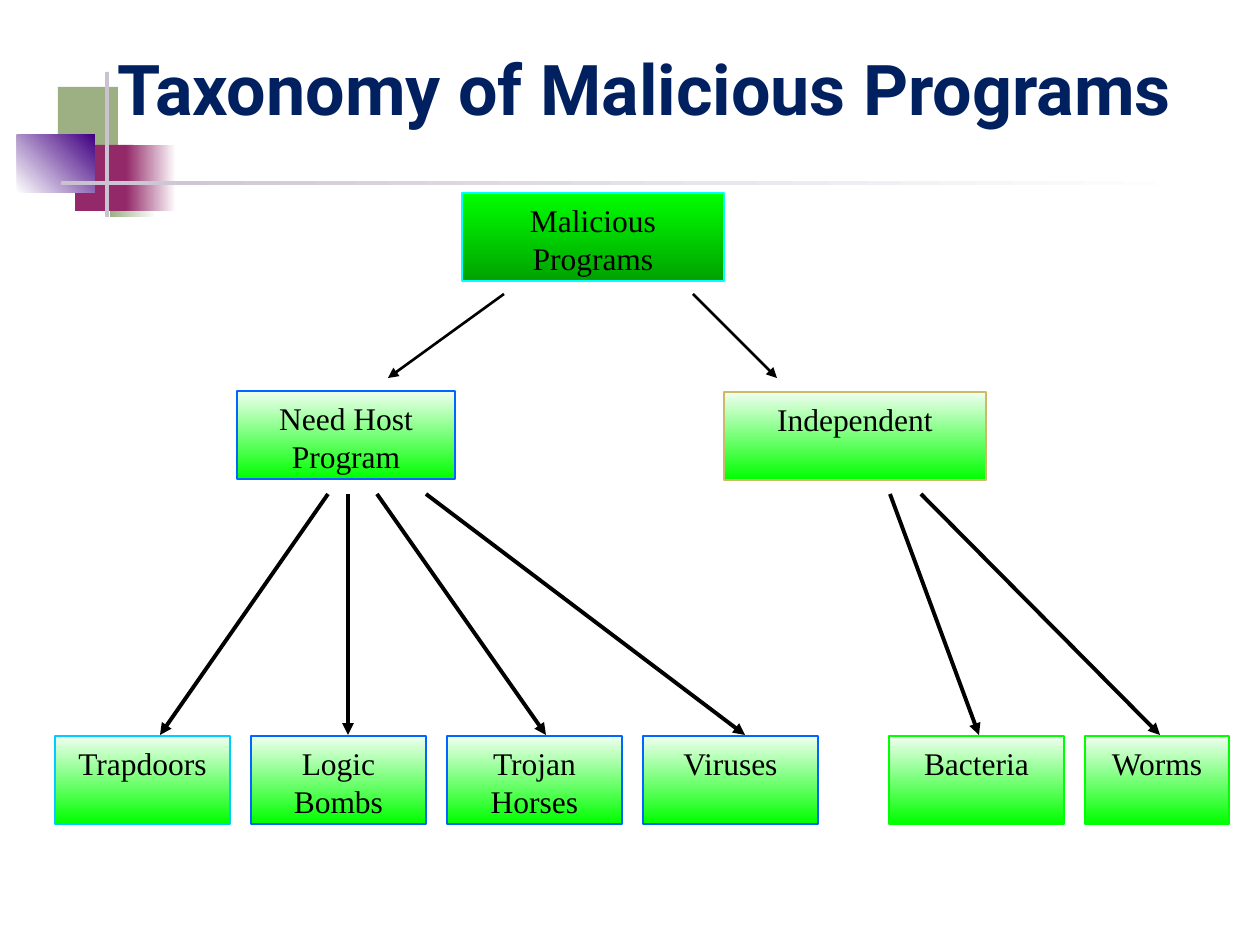
from dataclasses import dataclass

from lxml.etree import SubElement
from pptx import Presentation
from pptx.dml.color import RGBColor
from pptx.enum.shapes import MSO_CONNECTOR, MSO_SHAPE
from pptx.enum.text import MSO_ANCHOR, MSO_AUTO_SIZE, PP_ALIGN
from pptx.oxml.ns import qn
from pptx.slide import Slide
from pptx.util import Emu, Pt

PX_PER_INCH = 126


@dataclass(frozen=True)
class Theme:
    title_font: str = "Roboto"
    title_size: int = 40
    title_color: str = "002060"
    box_font: str = "Times New Roman"
    box_size: int = 18
    ink: str = "000000"
    white: str = "FFFFFF"
    sage: str = "9CB084"
    plum: str = "932968"
    violet: str = "410082"
    rule: str = "C9C2D1"
    mint: str = "F0FFF0"
    green: str = "00FF00"
    dark_green: str = "00A200"
    blue: str = "0066FF"
    sky: str = "00CCFF"
    cyan: str = "00FFFF"
    sand: str = "CEB966"


THEME = Theme()
BOX_FILL = (THEME.mint, THEME.green)


@dataclass(frozen=True)
class Block:
    """Decorative rectangle; two colours make a gradient."""
    x: int
    y: int
    w: int
    h: int
    colors: tuple[str, ...]
    angle: int = 0  # counter-clockwise degrees


@dataclass(frozen=True)
class Node:
    text: str
    x: int
    y: int
    w: int
    border: str
    colors: tuple[str, ...] = BOX_FILL
    h: int = 88


@dataclass(frozen=True)
class Arrow:
    x1: int
    y1: int
    x2: int
    y2: int
    width: float


def px(n: int) -> Emu:
    return Emu(round(n * 914400 / PX_PER_INCH))


def rgb(color: str) -> RGBColor:
    return RGBColor.from_string(color)


def add_block(s: Slide, b: Block):
    sp = s.shapes.add_shape(MSO_SHAPE.RECTANGLE, px(b.x), px(b.y), px(b.w), px(b.h))
    sp.shadow.inherit = False
    sp.line.fill.background()
    if len(b.colors) == 1:
        sp.fill.solid()
        sp.fill.fore_color.rgb = rgb(b.colors[0])
    else:
        sp.fill.gradient()
        sp.fill.gradient_angle = b.angle
        for stop, color, position in zip(sp.fill.gradient_stops, b.colors, (0, 1)):
            stop.color.rgb = rgb(color)
            stop.position = position
    return sp


def add_node(s: Slide, n: Node) -> None:
    sp = add_block(s, Block(n.x, n.y, n.w, n.h, n.colors, 270))
    sp.line.color.rgb = rgb(n.border)
    sp.line.width = Pt(1.5)
    tf = sp.text_frame
    tf.word_wrap = True
    tf.vertical_anchor = MSO_ANCHOR.TOP
    tf.margin_top = px(8)
    tf.text = n.text
    for p in tf.paragraphs:
        p.alignment = PP_ALIGN.CENTER
        p.font.name = THEME.box_font
        p.font.size = Pt(THEME.box_size)
        p.font.color.rgb = rgb(THEME.ink)


def add_arrow(s: Slide, a: Arrow) -> None:
    line = s.shapes.add_connector(
        MSO_CONNECTOR.STRAIGHT, px(a.x1), px(a.y1), px(a.x2), px(a.y2))
    line.line.color.rgb = rgb(THEME.ink)
    line.line.width = Pt(a.width)
    SubElement(line.line._get_or_add_ln(), qn("a:tailEnd"), type="triangle")
    SubElement(line._element.spPr, qn("a:effectLst"))


def set_title(s: Slide, text: str) -> None:
    sp = s.shapes.title
    sp.left, sp.top, sp.width, sp.height = px(105), px(42), px(1124), px(94)
    tf = sp.text_frame
    tf.text = text
    tf.word_wrap = True
    tf.auto_size = MSO_AUTO_SIZE.NONE
    tf.vertical_anchor = MSO_ANCHOR.BOTTOM
    p = tf.paragraphs[0]
    p.alignment = PP_ALIGN.LEFT
    p.font.name = THEME.title_font
    p.font.size = Pt(THEME.title_size)
    p.font.bold = True
    p.font.color.rgb = rgb(THEME.title_color)


# Corner ornament and title rule
ORNAMENT = [
    Block(58, 87, 60, 66, (THEME.sage,)),
    Block(110, 151, 46, 66, (THEME.sage, THEME.white)),
    Block(75, 145, 58, 66, (THEME.plum,)),
    Block(126, 145, 50, 66, (THEME.plum, THEME.white)),
    Block(17, 135, 78, 58, (THEME.white, THEME.violet), 45),
    Block(105, 72, 4, 145, (THEME.rule,)),
    Block(61, 181, 1134, 4, (THEME.rule, THEME.white)),
]

# Tree: root, two branches, and leaves on an even pitch
LEAF_TOP, LEAF_WIDTH, LEAF_PITCH = 736, 175, 196
HOST_LEAVES = [("Trapdoors", THEME.sky), ("Logic Bombs", THEME.blue),
               ("Trojan\nHorses", THEME.blue), ("Viruses", THEME.blue)]
NODES = [
    Node("Malicious Programs", 462, 193, 262, THEME.cyan,
         (THEME.green, THEME.dark_green)),
    Node("Need Host Program", 237, 391, 218, THEME.blue),
    Node("Independent", 724, 392, 262, THEME.sand),
    *(Node(text, 55 + i * LEAF_PITCH, LEAF_TOP, LEAF_WIDTH, border)
      for i, (text, border) in enumerate(HOST_LEAVES)),
    Node("Bacteria", 889, LEAF_TOP, LEAF_WIDTH, THEME.green),
    Node("Worms", 889 + LEAF_PITCH, LEAF_TOP, 144, THEME.green),
]

# Arrows as (start x, end x) for each level
ROOT_SPANS = [(504, 388), (693, 777)]
LEAF_SPANS = [(328, 160), (348, 348), (377, 546), (426, 745),
              (890, 979), (921, 1160)]
ARROWS = [
    *(Arrow(x1, 494, x2, 735, 2.25) for x1, x2 in LEAF_SPANS),
    *(Arrow(x1, 294, x2, 378, 1.5) for x1, x2 in ROOT_SPANS),
]


def main() -> None:
    prs = Presentation()
    prs.slide_width, prs.slide_height = px(1260), px(945)
    s = prs.slides.add_slide(prs.slide_layouts[5])
    for block in ORNAMENT:
        add_block(s, block)
    # Bring the title in front of the ornament
    s.shapes._spTree.append(s.shapes.title._element)
    set_title(s, "Taxonomy of Malicious Programs")
    for node in NODES:
        add_node(s, node)
    for arrow in ARROWS:
        add_arrow(s, arrow)
    prs.save("out.pptx")


if __name__ == "__main__":
    main()
